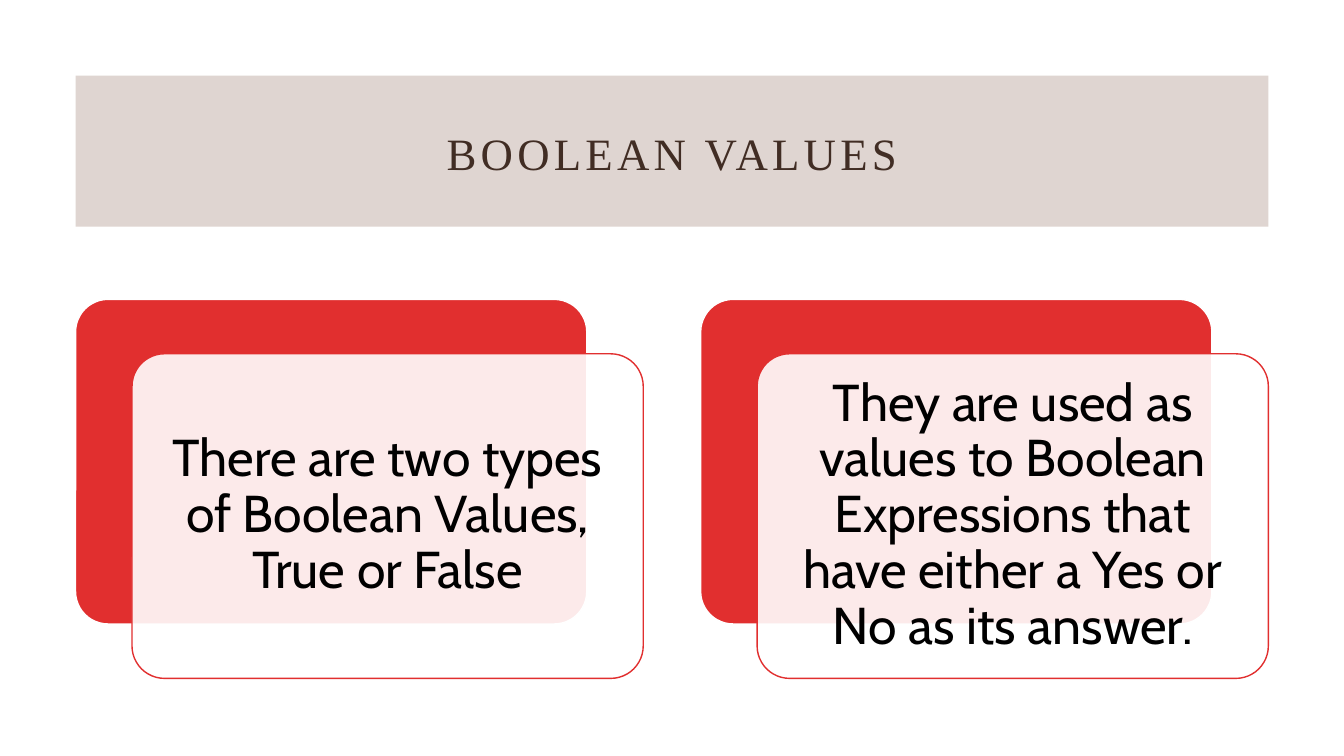
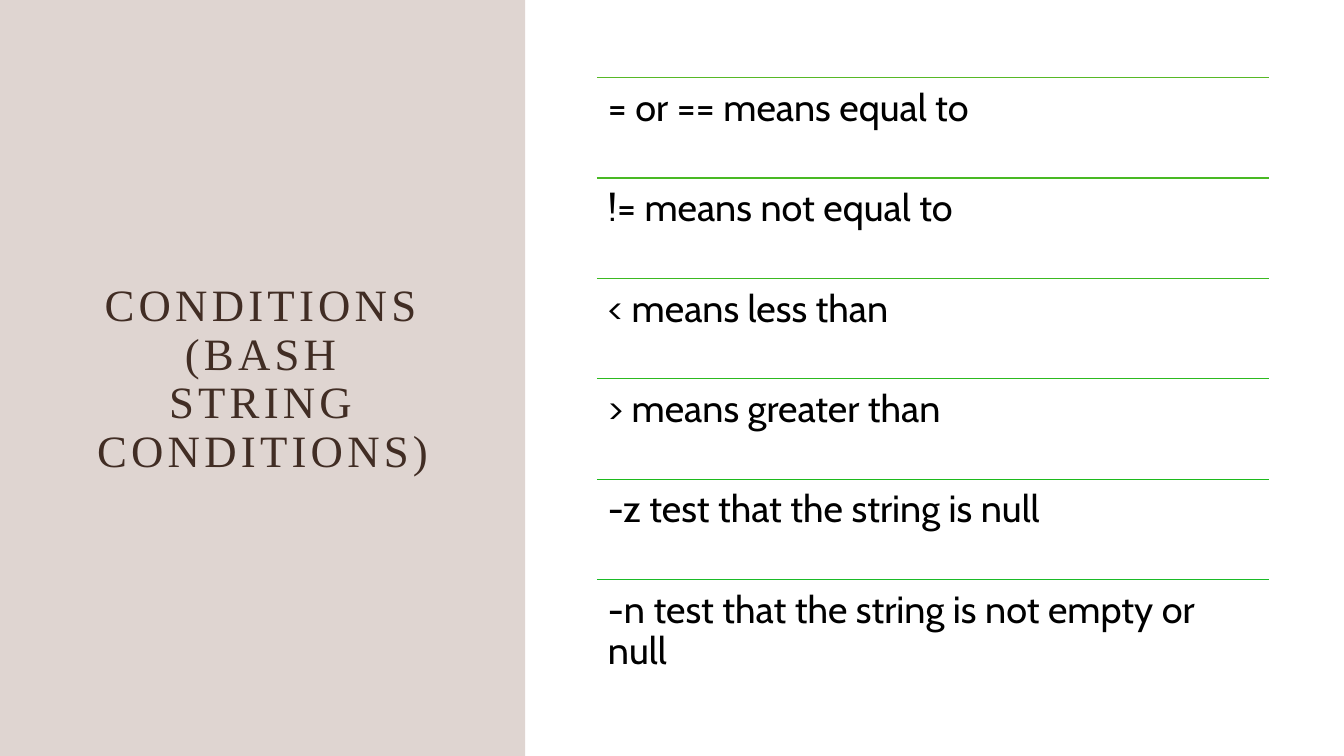
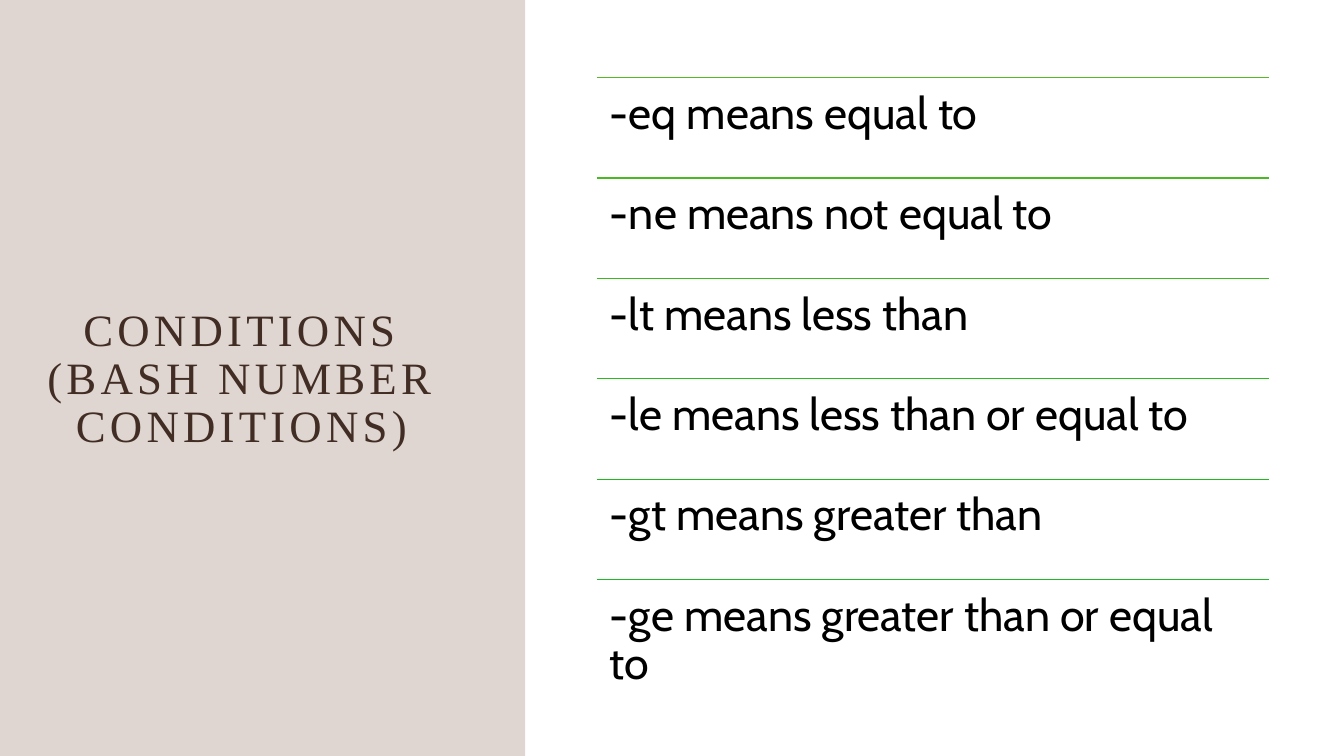
from dataclasses import dataclass

from lxml import etree
from pptx import Presentation
from pptx.dml.color import RGBColor
from pptx.enum.shapes import MSO_CONNECTOR, MSO_SHAPE
from pptx.enum.text import MSO_ANCHOR, PP_ALIGN
from pptx.oxml.ns import qn
from pptx.util import Inches, Pt

RECTANGLE = MSO_SHAPE.RECTANGLE
ROUNDED = MSO_SHAPE.ROUNDED_RECTANGLE
STRAIGHT = MSO_CONNECTOR.STRAIGHT
TOP, MIDDLE = MSO_ANCHOR.TOP, MSO_ANCHOR.MIDDLE
LEFT, CENTER = PP_ALIGN.LEFT, PP_ALIGN.CENTER


@dataclass(frozen=True)
class Theme:
    band: str = "835B48"
    band_opacity: int = 25
    title: str = "412D24"
    text: str = "000000"
    white: str = "FFFFFF"
    card: str = "E12F2F"
    card_opacity: int = 90
    rules: tuple = ("57B826", "49B924", "3BB921", "2CBA1F", "1DBA1C", "1ABB27")
    title_font: str = "Times New Roman"
    body_font: str = "Cabin"
    title_size: int = 32
    title_spacing: int = 3
    card_size: int = 37
    line_width: int = 1
    line_spacing: float = 0.9


class Deck:
    def __init__(self, theme):
        self.theme = theme
        self.presentation = Presentation()
        self.presentation.slide_width = Inches(13.33)
        self.presentation.slide_height = Inches(7.5)
        self.slide = None

    def new_slide(self):
        layout = self.presentation.slide_layouts[6]
        self.slide = self.presentation.slides.add_slide(layout)

    def panel(self, kind, box, fill, opacity=100, line=None):
        shape = self.slide.shapes.add_shape(kind, *map(Inches, box))
        shape.shadow.inherit = False
        shape.fill.solid()
        shape.fill.fore_color.rgb = RGBColor.from_string(fill)
        if opacity < 100:
            color = shape._element.spPr.find(qn("a:solidFill"))[0]
            etree.SubElement(color, qn("a:alpha")).set("val", str(opacity * 1000))
        if line:
            shape.line.color.rgb = RGBColor.from_string(line)
            shape.line.width = Pt(self.theme.line_width)
        else:
            shape.line.fill.background()
        if kind == ROUNDED:
            shape.adjustments[0] = 0.1
        return shape

    def add_text(self, shape, lines, size, font, color, anchor, align,
                 insets=(0.1, 0.05), spacing=0):
        frame = shape.text_frame
        frame.word_wrap = True
        frame.vertical_anchor = anchor
        frame.margin_left = frame.margin_right = Inches(insets[0])
        frame.margin_top = frame.margin_bottom = Inches(insets[1])
        paragraph = frame.paragraphs[0]
        paragraph.alignment = align
        paragraph.line_spacing = self.theme.line_spacing
        for index, line in enumerate(lines):
            if index:
                paragraph.add_line_break()
            run = paragraph.add_run()
            run.text = line
            run.font.size = Pt(size)
            run.font.name = font
            run.font.color.rgb = RGBColor.from_string(color)
            if spacing:
                run._r.get_or_add_rPr().set("spc", str(spacing * 100))

    def text_box(self, box):
        return self.slide.shapes.add_textbox(*map(Inches, box))

    def title(self, band_box, box, *lines):
        theme = self.theme
        self.panel(RECTANGLE, band_box, theme.band, theme.band_opacity)
        self.add_text(self.text_box(box), lines, theme.title_size, theme.title_font,
                      theme.title, MIDDLE, CENTER, spacing=theme.title_spacing)

    def card(self, left, top, text):
        theme = self.theme
        width, height = 5.07, 3.22
        self.panel(ROUNDED, (left, top, width, height), theme.card, line=theme.white)
        front = self.panel(ROUNDED, (left + 0.56, top + 0.54, width, height),
                           theme.white, theme.card_opacity, theme.card)
        self.add_text(front, [text], theme.card_size, theme.body_font, theme.text,
                      MIDDLE, CENTER, (0.15, 0.15))

    def rule(self, left, top, width, color):
        connector = self.slide.shapes.add_connector(
            STRAIGHT, Inches(left), Inches(top), Inches(left + width), Inches(top))
        connector.line.color.rgb = RGBColor.from_string(color)
        connector.line.width = Pt(self.theme.line_width)
        etree.SubElement(connector._element.spPr, qn("a:effectLst"))

    def ruled_list(self, items, size, inset):
        theme = self.theme
        left, first, last, width = 5.92, 0.77, 5.75, 6.67
        step = (last - first) / (len(items) - 1)
        for index, (item, color) in enumerate(zip(items, theme.rules)):
            top = first + index * step
            self.rule(left, top, width, color)
            self.add_text(self.text_box((left, top, width, step)), [item], size,
                          theme.body_font, theme.text, TOP, LEFT, (inset, inset))

    def values_slide(self, title, cards):
        self.new_slide()
        self.title((0.75, 0.75, 11.83, 1.5), (1.53, 1.04, 10.27, 1.02), title)
        for index, text in enumerate(cards):
            self.card(0.75 + index * 6.2, 2.97, text)

    def conditions_slide(self, title_left, title_lines, items, size, inset):
        self.new_slide()
        title_right = 4.46
        self.title((0, 0, 5.21, 7.5),
                   (title_left, 0.77, title_right - title_left, 6), *title_lines)
        self.ruled_list(items, size, inset)


def main():
    deck = Deck(Theme())
    deck.values_slide("BOOLEAN VALUES", [
        "There are two types of Boolean Values, True or False",
        "They are used as values to Boolean Expressions that have either "
        "a Yes or No as its answer.",
    ])
    deck.conditions_slide(0.75, ["CONDITIONS", "(BASH STRING CONDITIONS)"], [
        "= or == means equal to",
        "!= means not equal to",
        "< means less than",
        "> means greater than",
        "-z test that the string is null",
        "-n test that the string is not empty or null",
    ], size=27, inset=0.11)
    deck.conditions_slide(0.33, ["CONDITIONS", "(BASH NUMBER CONDITIONS)"], [
        "-eq means equal to",
        "-ne means not equal to",
        "-lt means less than",
        "-le means less than or equal to",
        "-gt means greater than",
        "-ge means greater than or equal to",
    ], size=32, inset=0.13)
    deck.presentation.save("out.pptx")


if __name__ == "__main__":
    main()
